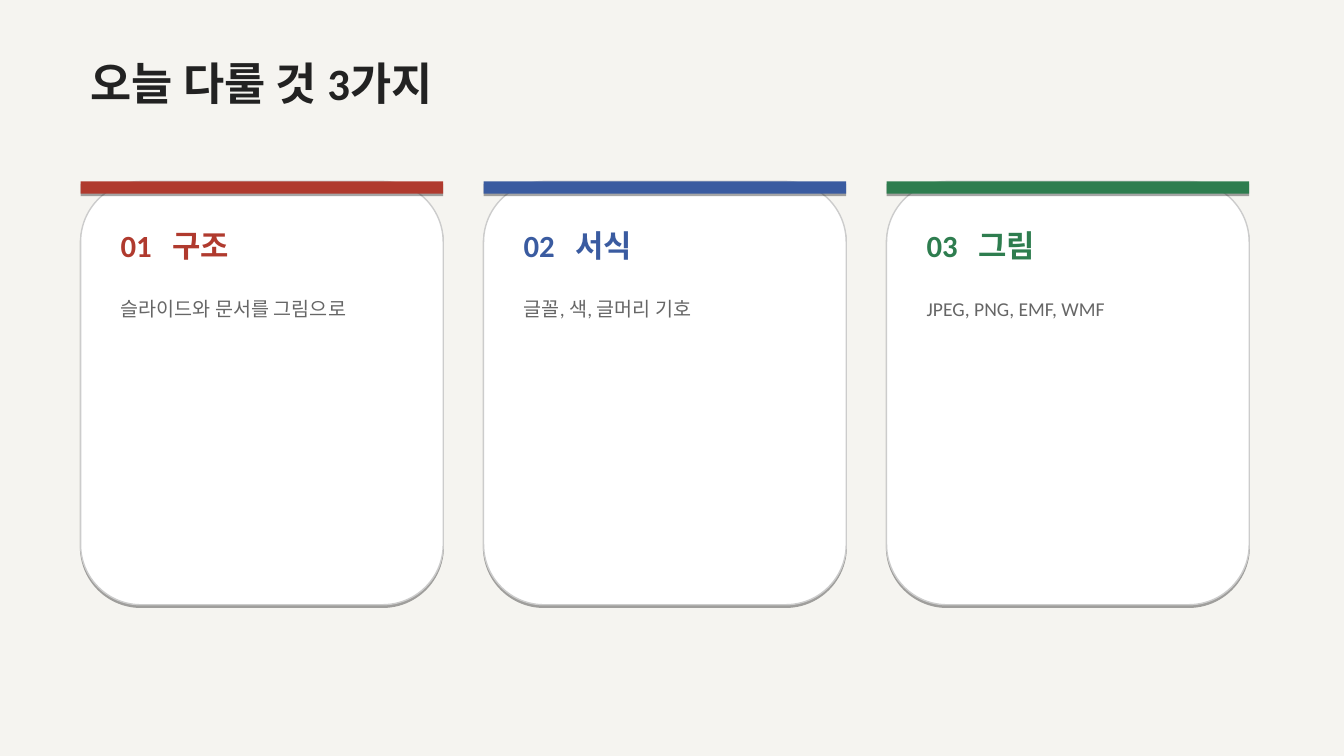
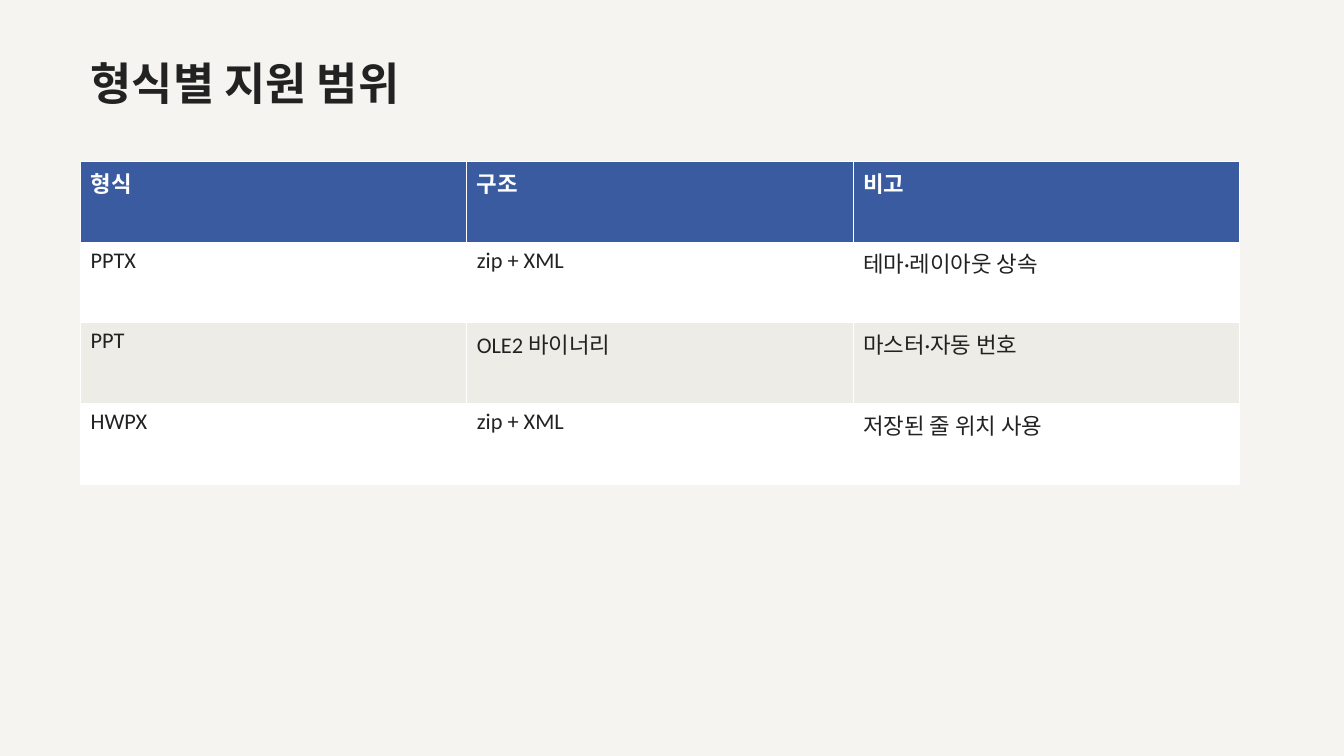
"""Build two slides: three topic cards and a table of formats."""
from lxml import etree
from pptx import Presentation
from pptx.dml.color import RGBColor
from pptx.enum.shapes import MSO_SHAPE
from pptx.enum.text import MSO_ANCHOR, PP_ALIGN
from pptx.oxml import parse_xml
from pptx.oxml.ns import nsdecls, qn
from pptx.util import Inches, Pt

ROUND, RECT = MSO_SHAPE.ROUNDED_RECTANGLE, MSO_SHAPE.RECTANGLE
TOP, LEFT = MSO_ANCHOR.TOP, PP_ALIGN.LEFT
PAPER = RGBColor(0xF5, 0xF4, 0xF0)
WHITE = RGBColor(0xFF, 0xFF, 0xFF)
STRIPE = RGBColor(0xEE, 0xEC, 0xE6)
EDGE = RGBColor(0xCC, 0xCC, 0xCC)
INK = RGBColor(0x22, 0x22, 0x22)
GRAY = RGBColor(0x66, 0x66, 0x66)
RED = RGBColor(0xB0, 0x3A, 0x2E)
BLUE = RGBColor(0x3A, 0x5B, 0xA0)
GREEN = RGBColor(0x2E, 0x7D, 0x4F)
FONT = "Calibri"
MARGIN = 0.8

TOPICS = [
    ("구조", "슬라이드와 문서를 그림으로", RED),
    ("서식", "글꼴, 색, 글머리 기호", BLUE),
    ("그림", "JPEG, PNG, EMF, WMF", GREEN),
]
FORMATS = [
    ("형식", "구조", "비고"),
    ("PPTX", "zip + XML", "테마·레이아웃 상속"),
    ("PPT", "OLE2 바이너리", "마스터·자동 번호"),
    ("HWPX", "zip + XML", "저장된 줄 위치 사용"),
]
CARD_W, CARD_H, CARD_TOP, GAP = 3.6, 4.2, 1.8, 0.4
BAND_H, PAD = 0.12, 0.3
TABLE_W, TABLE_TOP, ROW_H = 11.5, 1.6, 0.8


def write(frame, text, size, color, bold=False, tab=None):
    """Fill a text frame with one styled paragraph."""
    frame.text = text
    para = frame.paragraphs[0]
    para.alignment = LEFT
    if tab:
        stops = etree.SubElement(para._p.get_or_add_pPr(), qn("a:tabLst"))
        etree.SubElement(stops, qn("a:tab"), pos=str(Inches(tab)), algn="l")
    for run in para.runs:
        font = run.font
        font.name, font.size, font.bold = FONT, Pt(size), bold
        font.color.rgb = color


def add_slide(prs, title):
    """Add a slide with the shared title style."""
    slide = prs.slides.add_slide(prs.slide_layouts[5])
    write(slide.shapes.title.text_frame, title, 32, INK, True)
    return slide


def add_block(slide, kind, box, fill, edge=None):
    """Add a filled shape with a thin shadow below it."""
    shape = slide.shapes.add_shape(kind, *map(Inches, box))
    shape.fill.solid()
    shape.fill.fore_color.rgb = fill
    if edge:
        shape.line.color.rgb, shape.line.width = edge, Pt(1)
    else:
        shape.line.fill.background()
    shape._element.spPr.append(parse_xml(
        f'<a:effectLst {nsdecls("a")}><a:outerShdw blurRad="0" dist="{Pt(1.8)}" '
        'dir="5400000" rotWithShape="0"><a:srgbClr val="000000">'
        '<a:alpha val="35000"/></a:srgbClr></a:outerShdw></a:effectLst>'))


def add_label(slide, box, *style, **extra):
    """Add a wrapping text box."""
    frame = slide.shapes.add_textbox(*map(Inches, box)).text_frame
    frame.word_wrap = True
    write(frame, *style, **extra)


def add_cards(slide):
    """Lay the topics out as a row of cards."""
    for i, (name, note, color) in enumerate(TOPICS):
        x = MARGIN + i * (CARD_W + GAP)
        wide = CARD_W - 2 * PAD
        add_block(slide, ROUND, (x, CARD_TOP, CARD_W, CARD_H), WHITE, EDGE)
        add_block(slide, RECT, (x, CARD_TOP, CARD_W, BAND_H), color)
        add_label(slide, (x + PAD, CARD_TOP + 0.4, wide, 0.47),
                  f"{i + 1:02}\t{name}", 22, color, True, tab=0.51)
        add_label(slide, (x + PAD, CARD_TOP + 1.1, wide, 0.33), note, 14, GRAY)


def add_formats(slide):
    """Add the table with a header and striped rows."""
    rows, cols = len(FORMATS), len(FORMATS[0])
    box = (MARGIN, TABLE_TOP, TABLE_W, rows * ROW_H)
    table = slide.shapes.add_table(rows, cols, *map(Inches, box)).table
    for r, row in enumerate(FORMATS):
        head = r == 0
        fill = BLUE if head else WHITE if r % 2 else STRIPE
        for c, text in enumerate(row):
            cell = table.cell(r, c)
            for side in "LRTB":
                cell._tc.get_or_add_tcPr().append(parse_xml(
                    f'<a:ln{side} {nsdecls("a")} w="{Pt(0.45)}"><a:solidFill>'
                    f'<a:srgbClr val="{WHITE}"/></a:solidFill></a:ln{side}>'))
            cell.fill.solid()
            cell.fill.fore_color.rgb = fill
            write(cell.text_frame, text, 16, WHITE if head else INK, head)


def main():
    """Set the shared look, build both slides and save."""
    prs = Presentation()
    prs.slide_width, prs.slide_height = Inches(13.34), Inches(7.5)
    back = prs.slide_master.background.fill
    back.solid()
    back.fore_color.rgb = PAPER
    title = prs.slide_layouts[5].placeholders[0]
    title.left, title.top = Inches(MARGIN), Inches(0.5)
    title.width, title.height = Inches(11), Inches(0.63)
    title.text_frame.vertical_anchor = TOP
    add_cards(add_slide(prs, "오늘 다룰 것 3가지"))
    add_formats(add_slide(prs, "형식별 지원 범위"))
    prs.save("out.pptx")


if __name__ == "__main__":
    main()
